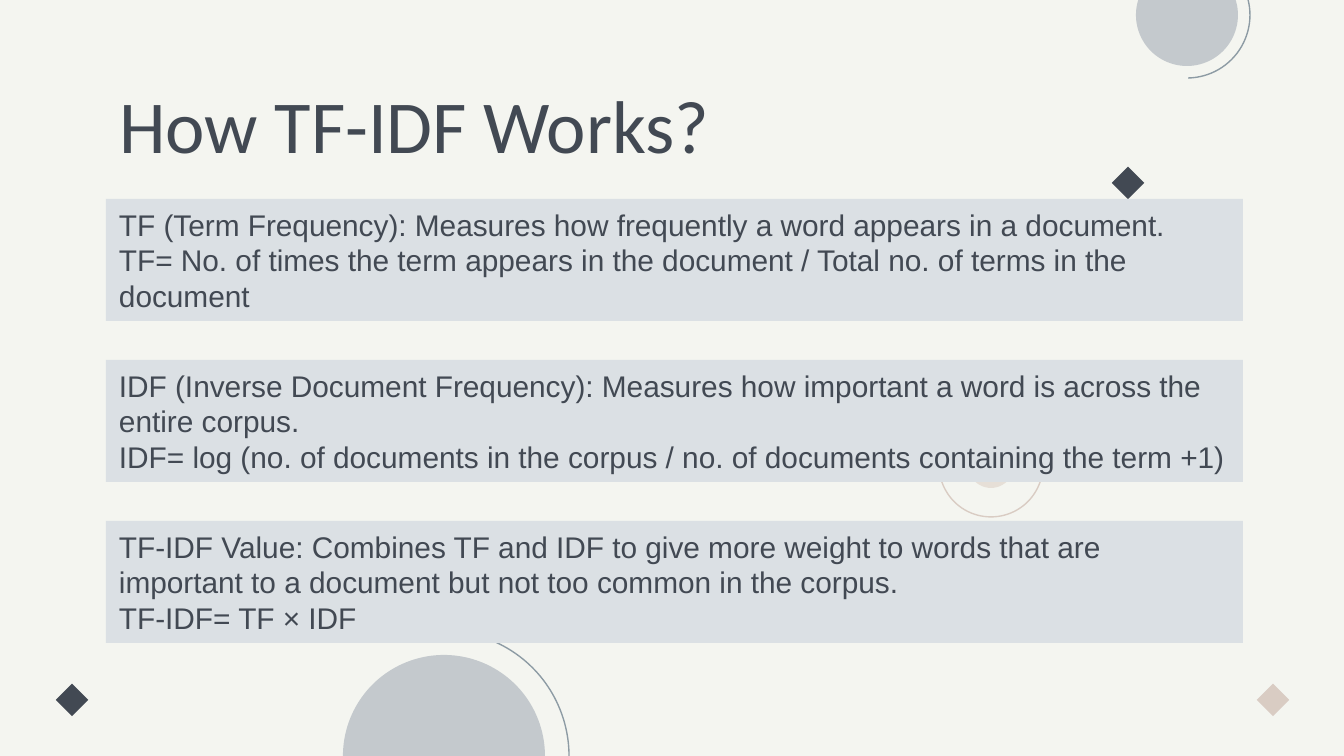
from typing import NamedTuple

from pptx import Presentation
from pptx.dml.color import RGBColor
from pptx.enum.shapes import MSO_SHAPE
from pptx.enum.text import MSO_ANCHOR, PP_ALIGN
from pptx.util import Pt

EMU_PER_PX = 914400 / 134.4
COLORS = {
    "paper": "F4F5F0",
    "ink": "424953",
    "panel": "DBE0E4",
    "disc": "C4C9CD",
    "arc": "8D9BA4",
    "sand": "D9CCC3",
    "pale_sand": "E6DFD7",
}
PANEL_LEFT, PANEL_TOP, PANEL_WIDTH, PANEL_HEIGHT = 106, 199, 1137, 122
PANEL_PITCH = 161
TEXT_INSET = 13
DIAMOND_SIDE = 23


class Orbit(NamedTuple):
    """A filled disc with a concentric half-circle arc around it."""
    x: int
    y: int
    disc_radius: int
    arc_radius: int
    disc_color: str
    arc_color: str
    rotation: int


class Diamond(NamedTuple):
    x: int
    y: int
    color: str


ORBITS = [
    Orbit(1187, 15, 51, 63, "disc", "arc", 0),
    Orbit(444, 756, 101, 125, "disc", "arc", 0),
    Orbit(991, 465, 23, 52, "pale_sand", "sand", 90),
]
DIAMONDS = [
    Diamond(72, 700, "ink"),
    Diamond(1273, 700, "sand"),
    Diamond(1128, 183, "ink"),
]
PANELS = [
    [
        "TF (Term Frequency): Measures how frequently a word appears in a document.",
        "TF= No. of times the term appears in the document / "
        "Total no. of terms in the document",
    ],
    [
        "IDF (Inverse Document Frequency): Measures how important a word is "
        "across the entire corpus.",
        "IDF= log (no. of documents in the corpus / "
        "no. of documents containing the term +1)",
    ],
    [
        "TF-IDF Value: Combines TF and IDF to give more weight to words that are "
        "important to a document but not too common in the corpus.",
        "TF-IDF= TF × IDF",
    ],
]


def px(length: float) -> int:
    return round(length * EMU_PER_PX)


def rgb(name: str) -> RGBColor:
    return RGBColor.from_string(COLORS[name])


def add_filled(page, kind, left: float, top: float, width: float, height: float, color: str):
    shape = page.shapes.add_shape(kind, px(left), px(top), px(width), px(height))
    shape.shadow.inherit = False
    shape.fill.solid()
    shape.fill.fore_color.rgb = rgb(color)
    shape.line.fill.background()
    return shape


def write(box, paragraphs: list[str], *, font: str, size: int, color: str = "ink",
          anchor=MSO_ANCHOR.MIDDLE) -> None:
    frame = box.text_frame
    frame.word_wrap = True
    frame.vertical_anchor = anchor
    frame.margin_left = frame.margin_right = px(TEXT_INSET)
    frame.margin_top = frame.margin_bottom = px(TEXT_INSET)
    for index, text in enumerate(paragraphs):
        para = frame.add_paragraph() if index else frame.paragraphs[0]
        para.alignment = PP_ALIGN.LEFT
        span = para.add_run()
        span.text = text
        span.font.name = font
        span.font.size = Pt(size)
        span.font.color.rgb = rgb(color)


def draw_orbit(page, orbit: Orbit) -> None:
    radius = orbit.disc_radius
    add_filled(page, MSO_SHAPE.OVAL, orbit.x - radius, orbit.y - radius,
               2 * radius, 2 * radius, orbit.disc_color)
    radius = orbit.arc_radius
    arc = page.shapes.add_shape(MSO_SHAPE.ARC, px(orbit.x - radius), px(orbit.y - radius),
                                px(2 * radius), px(2 * radius))
    arc.adjustments[0] = 162
    arc.adjustments[1] = 53.39
    arc.rotation = orbit.rotation
    arc.shadow.inherit = False
    arc.fill.background()
    arc.line.color.rgb = rgb(orbit.arc_color)
    arc.line.width = Pt(0.75)


def draw_diamond(page, diamond: Diamond) -> None:
    half = DIAMOND_SIDE / 2
    shape = add_filled(page, MSO_SHAPE.RECTANGLE, diamond.x - half, diamond.y - half,
                       DIAMOND_SIDE, DIAMOND_SIDE, diamond.color)
    shape.rotation = 45


def main() -> None:
    deck = Presentation()
    deck.slide_width, deck.slide_height = px(1344), px(756)
    page = deck.slides.add_slide(deck.slide_layouts[6])
    page.background.fill.solid()
    page.background.fill.fore_color.rgb = rgb("paper")

    for orbit in ORBITS:
        draw_orbit(page, orbit)
    for diamond in DIAMONDS:
        draw_diamond(page, diamond)

    title = page.shapes.add_textbox(px(106), px(66), px(793), px(78))
    write(title, ["How TF-IDF Works?"], font="Calibri", size=40, anchor=MSO_ANCHOR.TOP)

    for index, paragraphs in enumerate(PANELS):
        panel = add_filled(page, MSO_SHAPE.RECTANGLE, PANEL_LEFT,
                           PANEL_TOP + index * PANEL_PITCH,
                           PANEL_WIDTH, PANEL_HEIGHT, "panel")
        write(panel, paragraphs, font="Arial", size=16)

    deck.save("out.pptx")


if __name__ == "__main__":
    main()
